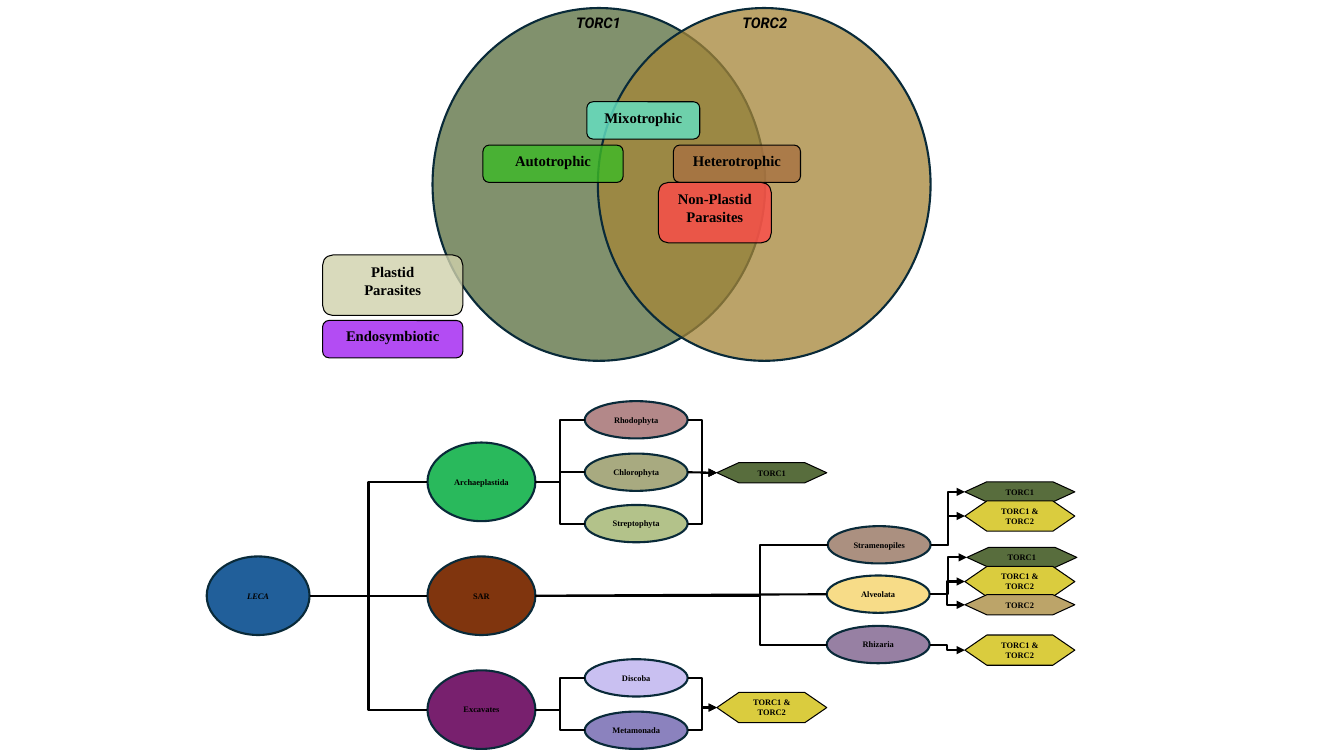
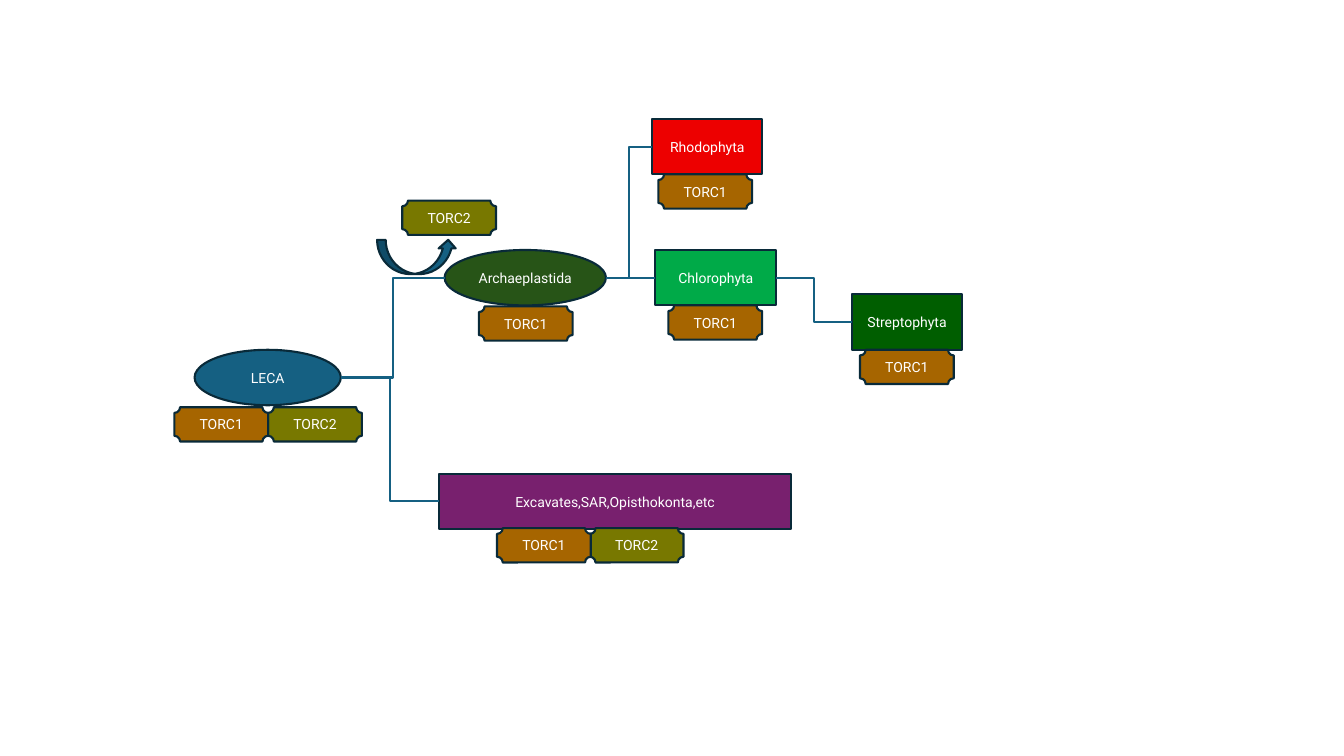
from lxml import etree
from pptx import Presentation
from pptx.dml.color import RGBColor
from pptx.enum.shapes import MSO_CONNECTOR, MSO_SHAPE
from pptx.enum.text import MSO_ANCHOR, MSO_AUTO_SIZE, PP_ALIGN
from pptx.oxml.ns import qn
from pptx.util import Inches, Pt

ELLIPSE, RECT = MSO_SHAPE.OVAL, MSO_SHAPE.RECTANGLE
ROUND, PLAQUE = MSO_SHAPE.ROUNDED_RECTANGLE, MSO_SHAPE.PLAQUE
HEXAGON, CURVED = MSO_SHAPE.FLOWCHART_PREPARATION, MSO_SHAPE.CURVED_UP_ARROW
STRAIGHT, ELBOW = MSO_CONNECTOR.STRAIGHT, MSO_CONNECTOR.ELBOW
MIDDLE, TOP = MSO_ANCHOR.MIDDLE, MSO_ANCHOR.TOP
CENTER, GROW = PP_ALIGN.CENTER, MSO_AUTO_SIZE.SHAPE_TO_FIT_TEXT

BLACK, WHITE, NAVY, BLUE = "000000", "FFFFFF", "092A39", "156082"

# Text styles: font, size, colour, bold, italic
VENN_TEXT = ("Times New Roman", 10.5, BLACK, True, False)
VENN_TITLE = ("Roboto", 10.5, BLACK, True, True)
TREE_TEXT = ("Times New Roman", 6, BLACK, True, False)
ROOT_TEXT = ("Times New Roman", 6, BLACK, True, True)
PLAIN_TEXT = ("Roboto", 10, WHITE, False, False)


def add_node(shapes, kind, at, fill, text="", style=PLAIN_TEXT, line=(NAVY, 1.5),
             alpha=100, anchor=MIDDLE):
    """Add a shape with centred text; kind None gives a bare text box."""
    box = [Inches(v) for v in at]
    if kind is None:
        sp = shapes.add_textbox(*box)
    else:
        sp = shapes.add_shape(kind, *box)
        sp.shadow.inherit = False
        sp.fill.solid()
        sp.fill.fore_color.rgb = RGBColor.from_string(fill)
        if alpha < 100:
            color = sp._element.spPr.find(qn("a:solidFill")).find(qn("a:srgbClr"))
            etree.SubElement(color, qn("a:alpha"), val=str(alpha * 1000))
        sp.line.color.rgb = RGBColor.from_string(line[0])
        sp.line.width = Pt(line[1])
    if text:
        tf = sp.text_frame
        tf.text = text
        tf.word_wrap = True
        tf.vertical_anchor = anchor
        if anchor == TOP:
            tf.auto_size = GROW
        else:
            tf.margin_left = tf.margin_right = 0
        name, size, color, bold, italic = style
        for p in tf.paragraphs:
            p.alignment = CENTER
            for r in p.runs:
                r.font.name, r.font.size = name, Pt(size)
                r.font.bold, r.font.italic = bold, italic
                r.font.color.rgb = RGBColor.from_string(color)
    return sp


def add_link(shapes, start, end, color=BLACK, arrow=False, bend=0.5):
    """Link the right side of start to the left side of end."""
    x1, y1 = start.left + start.width, start.top + start.height // 2
    x2, y2 = end.left, end.top + end.height // 2
    level = abs(y2 - y1) < Inches(0.03)
    cxn = shapes.add_connector(STRAIGHT if level else ELBOW, x1, y1, x2, y2)
    cxn.line.color.rgb = RGBColor.from_string(color)
    cxn.line.width = Pt(1.5)
    spPr = cxn._element.spPr
    if bend != 0.5:
        guides = spPr.find(qn("a:prstGeom")).find(qn("a:avLst"))
        etree.SubElement(guides, qn("a:gd"), name="adj1",
                         fmla=f"val {round(bend * 100000)}")
    if arrow:
        etree.SubElement(spPr.find(qn("a:ln")), qn("a:tailEnd"), type="triangle")
    etree.SubElement(spPr, qn("a:effectLst"))


prs = Presentation()
prs.slide_width, prs.slide_height = Inches(13.33), Inches(7.5)
blank = prs.slide_layouts[6]

# Slide 1: Venn diagram of feeding modes
s = prs.slides.add_slide(blank)
venn = s.shapes.add_group_shape().shapes
for left, fill in ((4.29, "586D3D"), (5.93, "A58537")):
    add_node(venn, ELLIPSE, (left, 0.08, 3.3, 3.5), fill, alpha=75)
for text, at, fill in (
    ("Mixotrophic", (5.82, 1.01, 1.12, 0.37), "63E3C5"),
    ("Heterotrophic", (6.68, 1.44, 1.26, 0.37), "A87142"),
    ("Autotrophic", (4.79, 1.44, 1.39, 0.37), "3CBA26"),
    ("Non-Plastid Parasites", (6.53, 1.81, 1.12, 0.6), "FE4A49"),
    ("Plastid\nParasites", (3.2, 2.53, 1.39, 0.6), "D0D1AC"),
    ("Endosymbiotic", (3.2, 3.18, 1.39, 0.37), "A020F0"),
):
    add_node(venn, ROUND, at, fill, text, VENN_TEXT, (BLACK, 0.75), 80, TOP)
for text, left in (("TORC1", 5.49), ("TORC2", 7.14)):
    add_node(venn, None, (left, 0.09, 0.89, 0.33), None, text, VENN_TITLE, anchor=TOP)

# Slide 1: tree of lineages, root and supergroups
tree = s.shapes.add_group_shape().shapes
root = add_node(tree, ELLIPSE, (2.05, 5.52, 1.02, 0.78), "215F9A", "LECA", ROOT_TEXT)
taxa = {}
for i, (name, fill) in enumerate((("Archaeplastida", "29B95C"), ("SAR", "80350E"),
                                  ("Excavates", "78206E"))):
    taxa[name] = add_node(tree, ELLIPSE, (4.24, 4.39 + 1.13 * i, 1.07, 0.78),
                          fill, name, TREE_TEXT)
    add_link(tree, root, taxa[name])

# Slide 1: phyla, each linked to its supergroup
for name, parent, left, top, fill in (
    ("Rhodophyta", "Archaeplastida", 5.8, 3.98, "B38889"),
    ("Chlorophyta", "Archaeplastida", 5.8, 4.5, "A8AA80"),
    ("Streptophyta", "Archaeplastida", 5.8, 5.01, "B3C28A"),
    ("Stramenopiles", "SAR", 8.21, 5.22, "AB9080"),
    ("Alveolata", "SAR", 8.2, 5.71, "F7DC88"),
    ("Rhizaria", "SAR", 8.2, 6.21, "9780A3"),
    ("Discoba", "Excavates", 5.8, 6.54, "C9C0F1"),
    ("Metamonada", "Excavates", 5.8, 7.06, "8B82BE"),
):
    taxa[name] = add_node(tree, ELLIPSE, (left, top, 1.02, 0.37), fill, name, TREE_TEXT)
    bend = 0.77 if parent == "SAR" and name != "Alveolata" else 0.5
    add_link(tree, taxa[parent], taxa[name], bend=bend)

# Slide 1: complexes found in each phylum
complexes = {"TORC1": ("586D3D", 0.2), "TORC2": ("BCA469", 0.2),
             "TORC1 & TORC2": ("DACC3E", 0.3)}
for text, left, top, phyla in (
    ("TORC1", 7.11, 4.59, ("Rhodophyta", "Chlorophyta", "Streptophyta")),
    ("TORC1", 9.57, 4.78, ("Stramenopiles",)),
    ("TORC1 & TORC2", 9.57, 4.97, ("Stramenopiles",)),
    ("TORC1", 9.59, 5.43, ("Alveolata",)),
    ("TORC1 & TORC2", 9.57, 5.62, ("Alveolata",)),
    ("TORC2", 9.57, 5.9, ("Alveolata",)),
    ("TORC1 & TORC2", 9.57, 6.3, ("Rhizaria",)),
    ("TORC1 & TORC2", 7.11, 6.87, ("Discoba", "Metamonada")),
):
    fill, height = complexes[text]
    tag = add_node(tree, HEXAGON, (left, top, 1.09, height), fill, text, TREE_TEXT,
                   (BLACK, 0.75), anchor=TOP)
    for name in phyla:
        add_link(tree, taxa[name], tag, arrow=True)

# Slide 2: lineages
s = prs.slides.add_slide(blank)
lineages = {}
for name, kind, left, top, width, fill in (
    ("LECA", ELLIPSE, 1.93, 3.47, 1.45, BLUE),
    ("Archaeplastida", ELLIPSE, 4.41, 2.48, 1.6, "275417"),
    ("Rhodophyta", RECT, 6.47, 1.18, 1.09, "ED0000"),
    ("Chlorophyta", RECT, 6.5, 2.48, 1.2, "00AA48"),
    ("Streptophyta", RECT, 8.45, 2.92, 1.09, "005E00"),
    ("Excavates,SAR,Opisthokonta,etc", RECT, 4.35, 4.7, 3.5, "78206E"),
):
    lineages[name] = add_node(s.shapes, kind, (left, top, width, 0.55), fill, name)
for start, end in (
    ("LECA", "Archaeplastida"),
    ("LECA", "Excavates,SAR,Opisthokonta,etc"),
    ("Archaeplastida", "Rhodophyta"),
    ("Archaeplastida", "Chlorophyta"),
    ("Chlorophyta", "Streptophyta"),
):
    add_link(s.shapes, lineages[start], lineages[end], BLUE)

# Slide 2: loss of TORC2 and the complexes kept
add_node(s.shapes, CURVED, (3.74, 2.38, 0.79, 0.34), BLUE)
for text, fill, places in (
    ("TORC2", "787800", ((3.99, 1.99), (2.66, 4.04), (5.85, 5.24))),
    ("TORC1", "A66500", ((1.73, 4.04), (4.75, 3.04), (4.93, 5.24), (6.53, 1.73),
                         (6.63, 3.03), (8.53, 3.47))),
):
    for left, top in places:
        add_node(s.shapes, PLAQUE, (left, top, 0.93, 0.34), fill, text)

prs.save("out.pptx")
